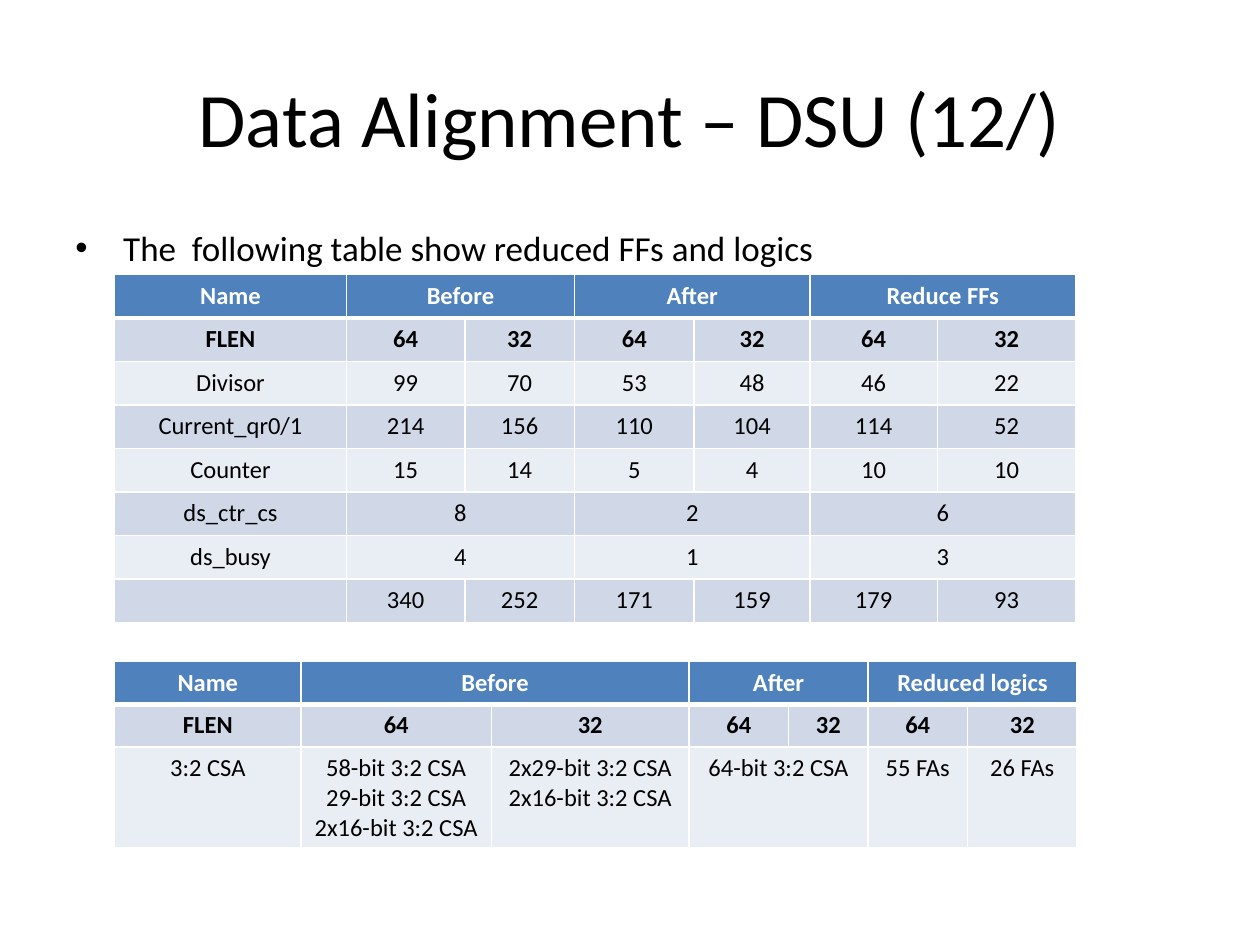
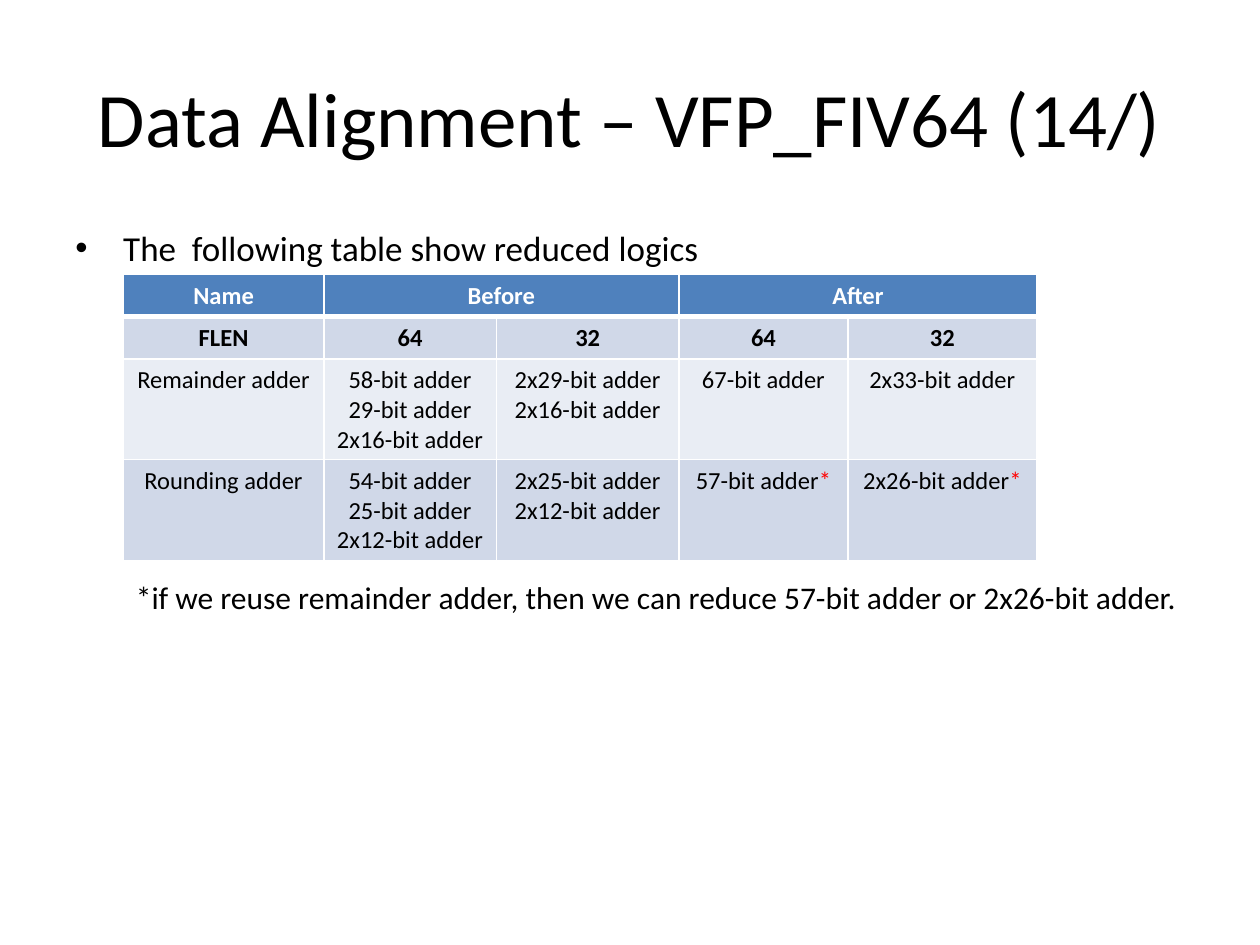
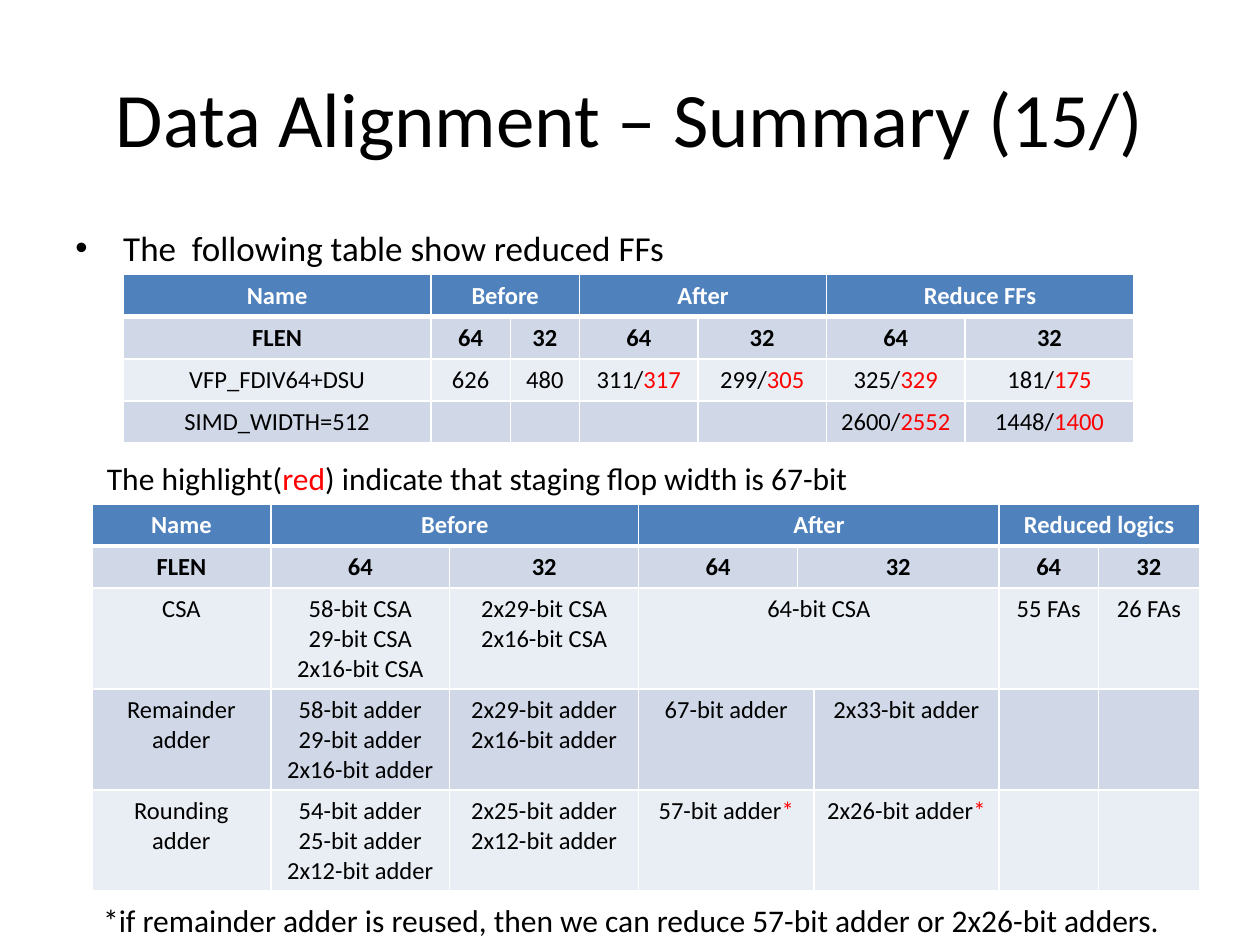
from dataclasses import dataclass
from typing import Optional

from lxml.etree import SubElement
from pptx import Presentation
from pptx.dml.color import RGBColor
from pptx.enum.text import MSO_ANCHOR, MSO_AUTO_SIZE, PP_ALIGN
from pptx.oxml import parse_xml
from pptx.oxml.ns import nsdecls, qn
from pptx.util import Inches, Pt

# Shared look
FONT = "Calibri"
BLACK = RGBColor(0x00, 0x00, 0x00)
WHITE = RGBColor(0xFF, 0xFF, 0xFF)
RED = RGBColor(0xFF, 0x00, 0x00)
HEADER_BLUE = RGBColor(0x4F, 0x81, 0xBD)
BANDS = (RGBColor(0xE9, 0xED, 0xF4), RGBColor(0xD0, 0xD8, 0xE8))
TITLE_SIZE, BULLET_SIZE, NOTE_SIZE, CELL_SIZE = 44, 20, 18, 14
BULLET_INDENT = Inches(0.38)
THIN, THICK = 1, 3

Row = list[Optional[str]]  # None continues the cell to its left


@dataclass
class Grid:
    left: float
    top: float
    widths: list[float]
    heights: list[float]
    rows: list[Row]


@dataclass
class Note:
    left: float
    top: float
    width: float
    text: str


@dataclass
class Page:
    title: str
    bullet: str
    grids: list[Grid]
    notes: list[Note]


def header(*groups: str) -> Row:
    """Name column followed by groups that each cover two columns."""
    return ["Name"] + [part for group in groups for part in (group, None)]


def flen(groups: int) -> Row:
    return ["FLEN"] + ["64", "32"] * groups


def write(paragraph, text: str, size: int, color: RGBColor = BLACK, bold: bool = False) -> None:
    """Add text as runs; parts in square brackets turn red."""
    for index, part in enumerate(text.replace("]", "[").split("[")):
        if part:
            run = paragraph.add_run()
            run.text = part
            run.font.name = FONT
            run.font.size = Pt(size)
            run.font.bold = bold
            run.font.color.rgb = RED if index % 2 else color


def add_text_frame(slide, left: float, top: float, width: float, height: float):
    box = slide.shapes.add_textbox(Inches(left), Inches(top), Inches(width), Inches(height))
    box.text_frame.word_wrap = True
    return box.text_frame


def add_title(slide, text: str) -> None:
    frame = add_text_frame(slide, 0.5, 0.3, 9, 1.25)
    frame.vertical_anchor = MSO_ANCHOR.MIDDLE
    frame.paragraphs[0].alignment = PP_ALIGN.CENTER
    write(frame.paragraphs[0], text, TITLE_SIZE)


def add_bullet(slide, text: str) -> None:
    paragraph = add_text_frame(slide, 0.5, 1.75, 9, 4.95).paragraphs[0]
    properties = paragraph._p.get_or_add_pPr()
    properties.set("marL", str(BULLET_INDENT))
    properties.set("indent", str(-BULLET_INDENT))
    SubElement(properties, qn("a:buFont")).set("typeface", "Arial")
    SubElement(properties, qn("a:buChar")).set("char", "•")
    write(paragraph, text, BULLET_SIZE)


def add_note(slide, note: Note) -> None:
    frame = add_text_frame(slide, note.left, note.top, note.width, 0.4)
    frame.word_wrap = False
    frame.auto_size = MSO_AUTO_SIZE.SHAPE_TO_FIT_TEXT
    write(frame.paragraphs[0], note.text, NOTE_SIZE)


def set_borders(cell, top: int, bottom: int) -> None:
    properties = cell._tc.get_or_add_tcPr()
    edges = (("lnL", THIN), ("lnR", THIN), ("lnT", top), ("lnB", bottom))
    for index, (edge, points) in enumerate(edges):
        properties.insert(index, parse_xml(
            f'<a:{edge} {nsdecls("a")} w="{Pt(points)}"><a:solidFill>'
            f'<a:srgbClr val="{WHITE}"/></a:solidFill></a:{edge}>'))


def fill_cell(cell, text: str, row: int) -> None:
    cell.text_frame.text = ""
    for index, line in enumerate(text.split("\n")):
        frame = cell.text_frame
        paragraph = frame.add_paragraph() if index else frame.paragraphs[0]
        paragraph.alignment = PP_ALIGN.CENTER
        write(paragraph, line, CELL_SIZE, BLACK if row else WHITE, bold=row < 2)
        if not line:  # keeps empty cells as low as the filled ones
            SubElement(paragraph._p, qn("a:endParaRPr")).set("sz", str(CELL_SIZE * 100))


def add_grid(slide, grid: Grid) -> None:
    table = slide.shapes.add_table(
        len(grid.rows), len(grid.widths), Inches(grid.left), Inches(grid.top),
        Inches(sum(grid.widths)), Inches(sum(grid.heights))).table
    for column, width in zip(table.columns, grid.widths):
        column.width = Inches(width)
    for table_row, height in zip(table.rows, grid.heights):
        table_row.height = Inches(height)
    for r, row in enumerate(grid.rows):
        for c, text in enumerate(row):
            cell = table.cell(r, c)
            fill_cell(cell, text or "", r)
            cell.fill.solid()
            cell.fill.fore_color.rgb = BANDS[r % 2] if r else HEADER_BLUE
            set_borders(cell, THICK if r == 1 else THIN, THIN if r else THICK)
        # Join each cell with the continued ones on its right
        starts = [c for c, text in enumerate(row) if text is not None]
        for start, end in zip(starts, starts[1:] + [len(row)]):
            if end - start > 1:
                table.cell(r, start).merge(table.cell(r, end - 1))


# Adder entries used by both the detail and the summary slide
REMAINDER_BEFORE = ["58-bit adder\n29-bit adder\n2x16-bit adder", "2x29-bit adder\n2x16-bit adder"]
ROUNDING_BEFORE = ["54-bit adder\n25-bit adder\n2x12-bit adder", "2x25-bit adder\n2x12-bit adder"]
REMAINDER_AFTER = ("67-bit adder", "2x33-bit adder")
ROUNDING_AFTER = ("57-bit adder[*]", "2x26-bit adder[*]")

PAGES = [
    Page(
        "Data Alignment – DSU (12/)",
        "The  following table show reduced FFs and logics",
        [
            Grid(0.91, 2.18, [1.84, 0.94, 0.87, 0.95, 0.92, 1.01, 1.1], [0.345] * 8, [
                header("Before", "After", "Reduce FFs"),
                flen(3),
                ["Divisor", "99", "70", "53", "48", "46", "22"],
                ["Current_qr0/1", "214", "156", "110", "104", "114", "52"],
                ["Counter", "15", "14", "5", "4", "10", "10"],
                ["ds_ctr_cs", "8", None, "2", None, "6", None],
                ["ds_busy", "4", None, "1", None, "3", None],
                ["", "340", "252", "171", "159", "179", "93"],
            ]),
            Grid(0.91, 5.25, [1.48, 1.51, 1.57, 0.79, 0.63, 0.79, 0.87], [0.34, 0.34, 0.8], [
                header("Before", "After", "Reduced logics"),
                flen(3),
                ["3:2 CSA", "58-bit 3:2 CSA\n29-bit 3:2 CSA\n2x16-bit 3:2 CSA",
                 "2x29-bit 3:2 CSA\n2x16-bit 3:2 CSA", "64-bit 3:2 CSA", None,
                 "55 FAs", "26 FAs"],
            ]),
        ],
        [],
    ),
    Page(
        "Data Alignment – VFP_FIV64 (14/)",
        "The  following table show reduced logics",
        [
            Grid(0.98, 2.18, [1.59, 1.37, 1.45, 1.34, 1.5], [0.33, 0.33, 0.8, 0.8], [
                header("Before", "After"),
                flen(2),
                ["Remainder adder", *REMAINDER_BEFORE, *REMAINDER_AFTER],
                ["Rounding adder", *ROUNDING_BEFORE, *ROUNDING_AFTER],
            ]),
        ],
        [Note(0.98, 4.54, 8.63, "*if we reuse remainder adder, then we can reduce "
                                "57-bit adder or 2x26-bit adder.")],
    ),
    Page(
        "Data Alignment – Summary (15/)",
        "The  following table show reduced FFs",
        [
            Grid(0.98, 2.18, [2.44, 0.63, 0.55, 0.94, 1.02, 1.1, 1.34], [0.33] * 4, [
                header("Before", "After", "Reduce FFs"),
                flen(3),
                ["VFP_FDIV64+DSU", "626", "480", "311/[317]", "299/[305]",
                 "325/[329]", "181/[175]"],
                ["SIMD_WIDTH=512", "", "", "", "", "2600/[2552]", "1448/[1400]"],
            ]),
            # The narrow fifth column shifts the split between the After values
            Grid(0.73, 4, [1.42, 1.42, 1.5, 1.26, 0.13, 1.47, 0.79, 0.8],
                 [0.33] * 2 + [0.8] * 3, [
                ["Name", "Before", None, "After", None, None, "Reduced logics", None],
                ["FLEN", "64", "32", "64", "32", None, "64", "32"],
                ["CSA", "58-bit CSA\n29-bit CSA\n2x16-bit CSA", "2x29-bit CSA\n2x16-bit CSA",
                 "64-bit CSA", None, None, "55 FAs", "26 FAs"],
                ["Remainder adder", *REMAINDER_BEFORE, REMAINDER_AFTER[0], None,
                 REMAINDER_AFTER[1], "", ""],
                ["Rounding adder", *ROUNDING_BEFORE, ROUNDING_AFTER[0], None,
                 ROUNDING_AFTER[1], "", ""],
            ]),
        ],
        [
            Note(0.75, 3.59, 6.15, "The highlight([red]) indicate that staging flop width is 67-bit"),
            Note(0.72, 7.1, 8.76, "*if remainder adder is reused, then we can reduce "
                                  "57-bit adder or 2x26-bit adders."),
        ],
    ),
]


def main() -> None:
    deck = Presentation()
    deck.slide_width, deck.slide_height = Inches(10), Inches(7.5)
    for page in PAGES:
        slide = deck.slides.add_slide(deck.slide_layouts[6])
        add_title(slide, page.title)
        add_bullet(slide, page.bullet)
        for grid in page.grids:
            add_grid(slide, grid)
        for note in page.notes:
            add_note(slide, note)
    deck.save("out.pptx")


if __name__ == "__main__":
    main()
